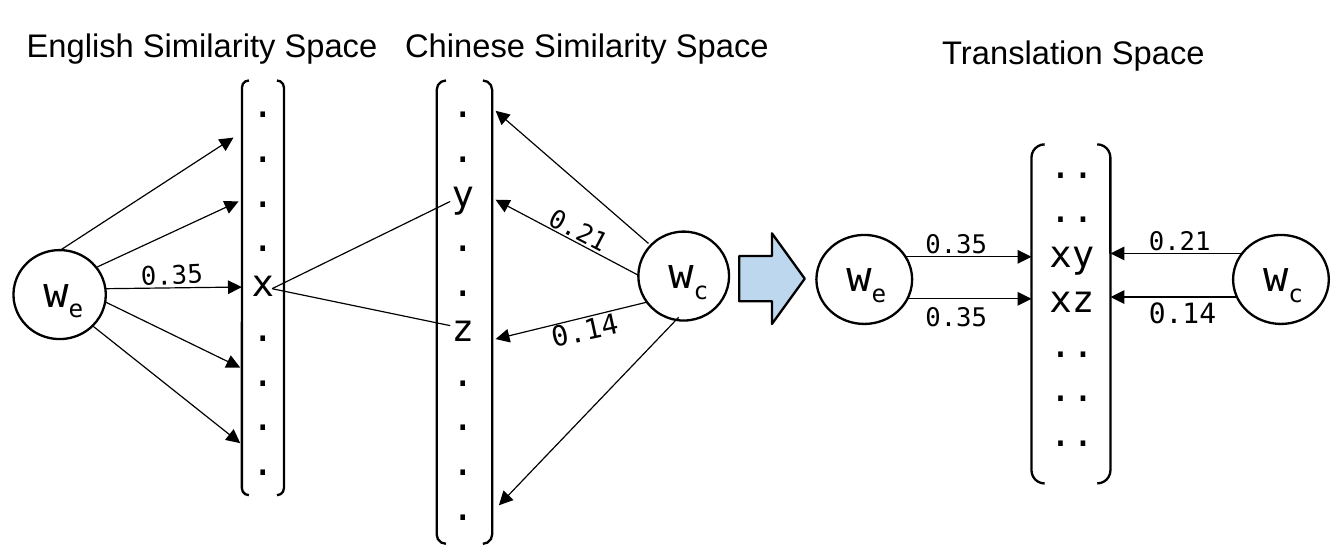
from lxml import etree
from pptx import Presentation
from pptx.dml.color import RGBColor
from pptx.enum.shapes import MSO_CONNECTOR, MSO_SHAPE
from pptx.enum.text import PP_ALIGN
from pptx.oxml.ns import qn
from pptx.util import Emu, Pt

PX = 9144  # 100 px to the inch
SANS, MONO = "Arial", "DejaVu Sans Mono"
BLACK, WHITE, BLUE = "000000", "FFFFFF", "BDD7EE"
LEFT, CENTER = PP_ALIGN.LEFT, PP_ALIGN.CENTER
LINE = MSO_CONNECTOR.STRAIGHT
OVAL, BRACKET, ARROW = MSO_SHAPE.OVAL, MSO_SHAPE.DOUBLE_BRACKET, MSO_SHAPE.RIGHT_ARROW


def px(*nums):
    return [Emu(round(n * PX)) for n in nums]


def color(code):
    return RGBColor.from_string(code)


def shape(slide, kind, x, y, w, h, fill=None):
    item = slide.shapes.add_shape(kind, *px(x, y, w, h))
    item.shadow.inherit = False
    if fill:
        item.fill.solid()
        item.fill.fore_color.rgb = color(fill)
    else:
        item.fill.background()
    item.line.color.rgb = color(BLACK)
    item.line.width = Pt(1)


def text(slide, x, y, w, h, lines, size, font=MONO, align=LEFT, turn=0, pitch=None):
    box = slide.shapes.add_textbox(*px(x, y, w, h))
    box.rotation = turn
    frame = box.text_frame
    frame.word_wrap = True
    frame.text = "\n".join(lines)
    for para in frame.paragraphs:
        para.alignment = align
        para.line_spacing = pitch
        para.font.size = Pt(size)
        para.font.name = font
        para.font.color.rgb = color(BLACK)
    return frame


def line(slide, x1, y1, x2, y2, head=True):
    wire = slide.shapes.add_connector(LINE, *px(x1, y1, x2, y2))
    wire.line.color.rgb = color(BLACK)
    wire.line.width = Pt(0.5)
    if head:
        etree.SubElement(wire.line._get_or_add_ln(), qn("a:tailEnd"), type="triangle")
    etree.SubElement(wire._element.spPr, qn("a:effectLst"))


def word(slide, x, y, w, sub):
    """A circle holding the letter w with a subscript."""
    shape(slide, OVAL, x, y, w, 53, WHITE)
    para = text(slide, x + 8, y + 4, 72, 40, ["w"], 18).paragraphs[0]
    run = para.add_run()
    run.text = sub
    run.font._element.set("baseline", "-25000")


def column(slide, x, y, w, rows, align=LEFT):
    text(slide, x, y, w, 10 + 27 * len(rows), rows, 16, align=align, pitch=Pt(19.2))


def english(slide, x, y):
    text(slide, x, y, 248, 34, ["English Similarity Space"], 14, SANS)
    word(slide, x + 2, y + 139, 55, "e")
    shape(slide, BRACKET, x + 138, y + 38, 25, 247)
    column(slide, x + 134, y + 33, 37, "....x....")
    for x1, y1, x2, y2 in [(30, 139, 133, 72), (52, 149, 136, 110), (57, 162, 138, 161),
                           (57, 170, 137, 209), (49, 184, 137, 254)]:
        line(slide, x + x1, y + y1, x + x2, y + y2)
    text(slide, x + 68, y + 139, 65, 29, ["0.35"], 11, turn=-2.9)


def chinese(slide, x, y):
    text(slide, x, y, 251, 34, ["Chinese Similarity Space"], 14, SANS, CENTER)
    word(slide, x + 156, y + 128, 54, "c")
    shape(slide, BRACKET, x + 36, y + 38, 33, 276)
    column(slide, x + 35, y + 33, 37, "..y..z....")
    for x1, y1, x2, y2 in [(162, 135, 71, 56), (156, 154, 71, 109),
                           (161, 170, 71, 192), (180, 179, 73, 291)]:
        line(slide, x + x1, y + y1, x + x2, y + y2)
    text(slide, x + 92, y + 113, 58, 29, ["0.21"], 11, turn=27.7)
    text(slide, x + 94, y + 171, 64, 30, ["0.14"], 12, turn=-12.4)


def translation(slide, x, y):
    text(slide, x + 65, y, 185, 34, ["Translation Space"], 14, SANS)
    for x1, x2, level in [(254, 175, 163), (255, 175, 137), (35, 128, 139), (26, 128, 164)]:
        line(slide, x + x1, y + level, x + x2, y + level)
    shape(slide, BRACKET, x + 128, y + 72, 47, 202)
    column(slide, x + 128, y + 65, 48, ["..", "..", "xy", "xz", "..", "..", ".."], CENTER)
    word(slide, x, y + 126, 57, "e")
    word(slide, x + 248, y + 126, 57, "c")
    for left, top, label, size in [(188, 115, "0.21", 11), (188, 157, "0.14", 12),
                                   (55, 117, "0.35", 11), (55, 160, "0.35", 11)]:
        text(slide, x + left, y + top, 67, 29, [label], size)


def main():
    deck = Presentation()
    deck.slide_width, deck.slide_height = px(800, 330)
    slide = deck.slides.add_slide(deck.slide_layouts[6])
    for level in (120, 194):
        line(slide, 162, 172, 268, level, head=False)
    english(slide, 6, 10)
    chinese(slide, 224, 10)
    translation(slide, 486, 14)
    shape(slide, ARROW, 440, 139, 39, 54, BLUE)
    deck.save("out.pptx")


if __name__ == "__main__":
    main()
